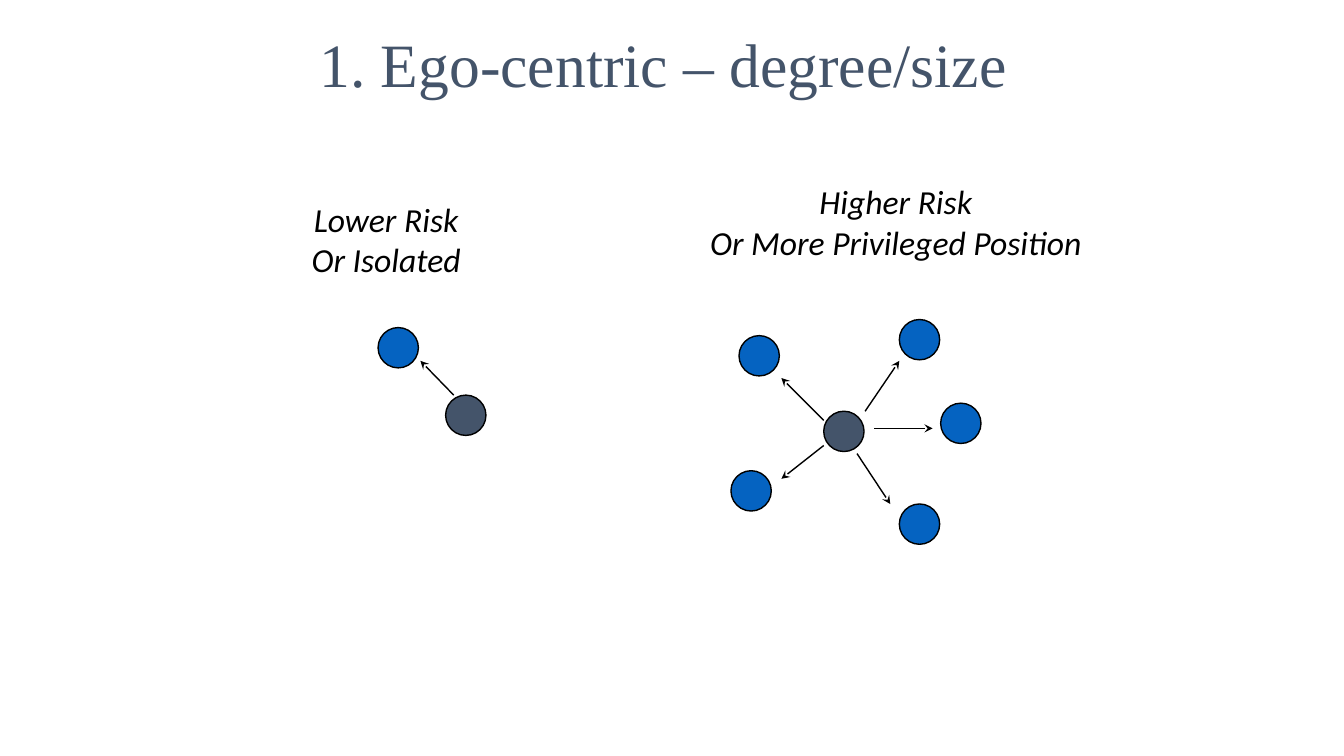
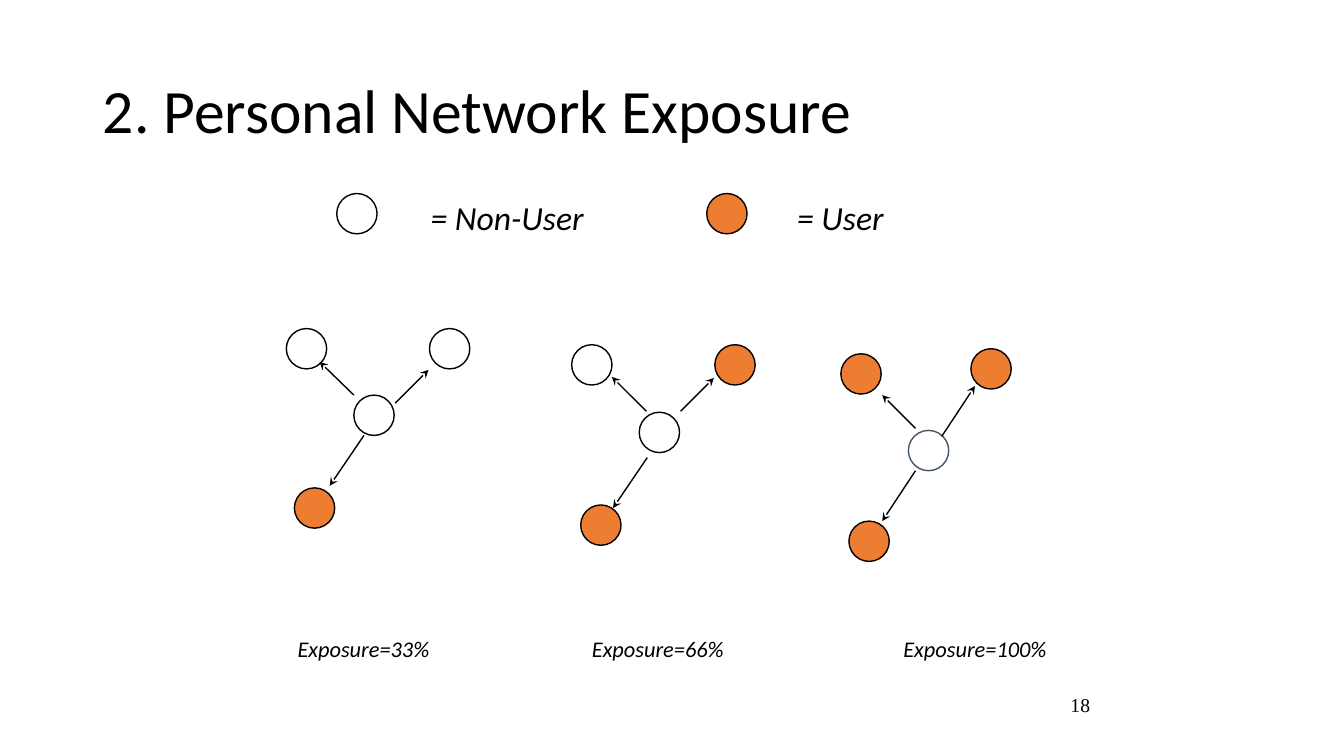
"""Build two slides on ego-centric networks and personal network exposure."""
import pptx
import pptx.util
import pptx.dml.color
import pptx.enum.shapes
import pptx.enum.text
import pptx.oxml.ns
import lxml.etree

Inches, Pt = pptx.util.Inches, pptx.util.Pt
ALIGN = pptx.enum.text.PP_ALIGN
FIT = pptx.enum.text.MSO_AUTO_SIZE
BLACK, WHITE = "000000", "FFFFFF"
BLUE, SLATE, ORANGE = "0563C1", "44546A", "ED7D31"
SANS, SERIF = "Calibri", "Times New Roman"
NODE = 0.4


def rgb(color):
    return pptx.dml.color.RGBColor.from_string(color)


def write(tf, text, size, font=SANS, color=BLACK, align=ALIGN.CENTER, italic=False):
    tf.text = text
    for p in tf.paragraphs:
        p.alignment = align
        for r in p.runs:
            r.font.size = Pt(size)
            r.font.name = font
            r.font.color.rgb = rgb(color)
            r.font.italic = italic


slides = [
    {
        "title": ("1. Ego-centric – degree/size", SERIF, SLATE, ALIGN.CENTER, 1.0),
        "title_box": (2.33, 0, 8.5, 1.25),
        "labels": [
            ("Lower Risk\nOr Isolated", 24, 2.98, 1.92, 1.7, 0.91),
            ("Higher Risk\nOr More Privileged Position", 24, 6.92, 1.75, 3.93, 0.91),
        ],
        "nodes": [
            (4.42, 3.92, SLATE), (3.75, 3.25, BLUE),
            (8.17, 4.08, SLATE), (8.92, 3.17, BLUE), (7.33, 3.33, BLUE),
            (9.33, 4, BLUE), (8.92, 5, BLUE), (7.25, 4.67, BLUE),
        ],
        "arrows": [
            (4.5, 3.92, 4.17, 3.58),
            (8.67, 4.25, 9.25, 4.25), (8.17, 4.17, 7.75, 3.75),
            (8.58, 4.08, 8.92, 3.58), (8.5, 4.5, 8.83, 5),
            (8.17, 4.42, 7.75, 4.75),
        ],
    },
    {
        "title": ("2. Personal Network Exposure", SANS, BLACK, ALIGN.LEFT, 0.9),
        "title_box": (0.92, 0.4, 11.5, 1.45),
        "labels": [
            ("= Non-User", 24, 4.16, 1.9, 1.74, 0.51),
            ("= User", 24, 7.8, 1.9, 1.07, 0.51),
            ("Exposure=33%", 16, 2.84, 6.25, 1.53, 0.37),
            ("Exposure=66%", 16, 5.76, 6.25, 1.53, 0.37),
            ("Exposure=100%", 16, 8.85, 6.25, 1.64, 0.37),
        ],
        "nodes": [
            (3.34, 1.92, WHITE), (7.01, 1.92, ORANGE),
            (3.51, 3.92, WHITE), (4.26, 3.26, WHITE),
            (2.84, 3.26, WHITE), (2.92, 4.84, ORANGE),
            (6.34, 4.09, WHITE), (7.09, 3.42, ORANGE),
            (5.67, 3.42, WHITE), (5.76, 5.01, ORANGE),
            (9.01, 4.27, None), (9.63, 3.46, ORANGE),
            (8.34, 3.51, ORANGE), (8.42, 5.17, ORANGE),
        ],
        "arrows": [
            (3.92, 4, 4.25, 3.67), (3.51, 3.92, 3.17, 3.59), (3.61, 4.32, 3.27, 4.82),
            (6.75, 4.08, 7.08, 3.75), (6.41, 4.08, 6.07, 3.74), (6.42, 4.54, 6.08, 5.04),
            (9.34, 4.33, 9.67, 3.83), (9.08, 4.25, 8.75, 3.92), (9.08, 4.67, 8.75, 5.17),
        ],
    },
]

prs = pptx.Presentation()
prs.slide_width = Inches(13.33)
prs.slide_height = Inches(7.5)

for content in slides:
    s = prs.slides.add_slide(prs.slide_layouts[5])

    title = s.shapes.title
    title.left, title.top, title.width, title.height = map(Inches, content["title_box"])
    text, font, color, align, spacing = content["title"]
    tf = title.text_frame
    write(tf, text, 44, font, color, align)
    tf.paragraphs[0].line_spacing = spacing
    tf.vertical_anchor = pptx.enum.text.MSO_ANCHOR.MIDDLE
    tf.auto_size = FIT.NONE

    for x, y, fill in content["nodes"]:
        sp = s.shapes.add_shape(pptx.enum.shapes.MSO_SHAPE.OVAL,
                                Inches(x), Inches(y), Inches(NODE), Inches(NODE))
        sp.shadow.inherit = False
        sp.line.width = Pt(1)
        if fill:
            sp.fill.solid()
            sp.fill.fore_color.rgb = rgb(fill)
            sp.line.color.rgb = rgb(BLACK)
        else:
            sp.fill.background()
            sp.line.color.rgb = rgb(SLATE)

    for ends in content["arrows"]:
        arrow = s.shapes.add_connector(pptx.enum.shapes.MSO_CONNECTOR.STRAIGHT,
                                       *map(Inches, ends))
        arrow.line.width = Pt(1)
        arrow.line.color.rgb = rgb(BLACK)
        ln = arrow.line._get_or_add_ln()
        lxml.etree.SubElement(ln, pptx.oxml.ns.qn("a:tailEnd"), type="stealth")
        lxml.etree.SubElement(ln.getparent(), pptx.oxml.ns.qn("a:effectLst"))

    for text, size, *box in content["labels"]:
        tf = s.shapes.add_textbox(*map(Inches, box)).text_frame
        write(tf, text, size, italic=True)
        tf.word_wrap = False
        tf.auto_size = FIT.SHAPE_TO_FIT_TEXT

tf = s.shapes.add_textbox(Inches(8.83), Inches(6.83), Inches(2.08), Inches(0.5)).text_frame
tf.word_wrap = True
write(tf, "18", 14, SERIF, align=ALIGN.RIGHT)

prs.save("out.pptx")
